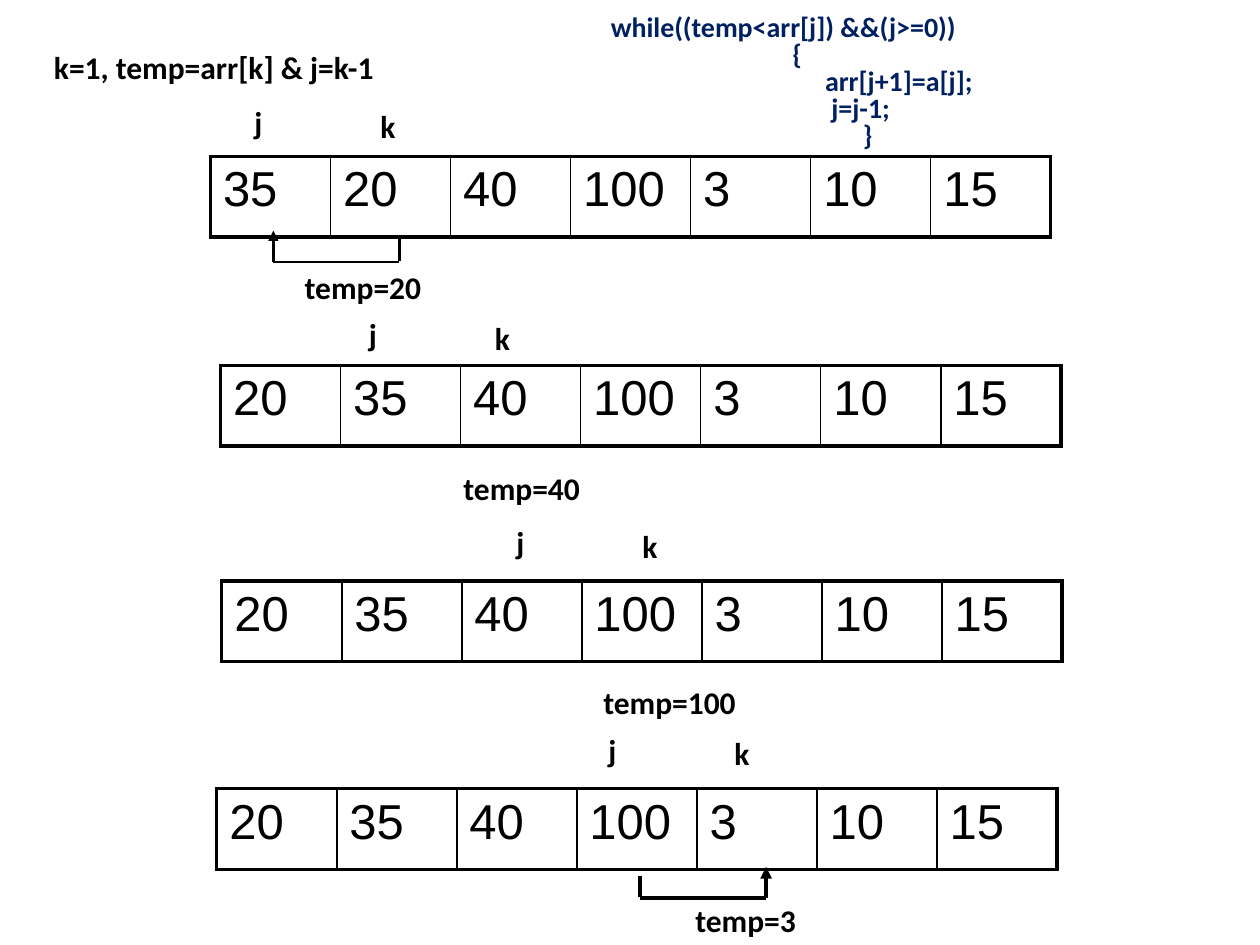
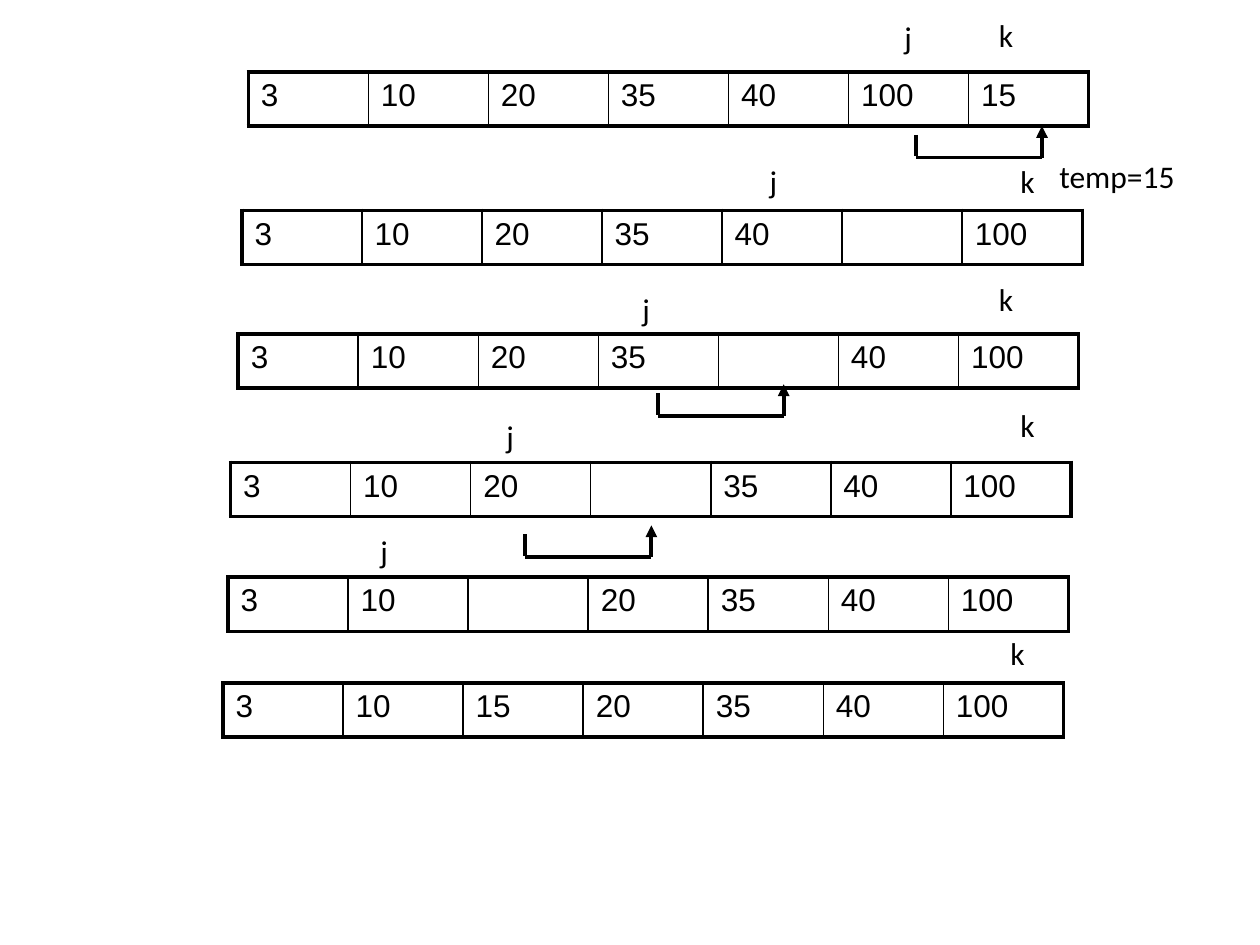
from dataclasses import dataclass

from lxml import etree
from pptx import Presentation
from pptx.dml.color import RGBColor
from pptx.enum.shapes import MSO_CONNECTOR
from pptx.oxml.ns import qn
from pptx.util import Inches, Pt

STRAIGHT = MSO_CONNECTOR.STRAIGHT
BLACK, NAVY = "000000", "002060"
CELL_FONT, LABEL_FONT = "Arial", "Calibri"
ARRAY_WIDTH, BRACKET_WIDTH = 6.67, 1.0
THIN, THICK = 1, 2.25


@dataclass
class ArrayRow:
    left: float
    top: float
    values: list[str]


@dataclass
class Label:
    text: str
    left: float
    top: float
    width: float = 0.33


@dataclass
class Bracket:
    """Move arrow: a stub at start, a base line, an arrow up at the other end."""
    start: float
    base: float
    direction: int = 1
    weight: float = THICK


@dataclass
class Trace:
    row_height: float
    cell_size: float
    bold_labels: bool
    arrays: list[ArrayRow]
    labels: list[Label]
    brackets: list[Bracket]


# ---- Helpers ----
def color(hex_code: str) -> RGBColor:
    return RGBColor.from_string(hex_code)


def style(paragraph, font: str, size: float, bold: bool = False, hex_code: str = BLACK) -> None:
    for run in paragraph.runs:
        run.font.name = font
        run.font.size = Pt(size)
        run.font.bold = bold
        run.font.color.rgb = color(hex_code)


def set_border(cell, side: str, weight: float) -> None:
    border = etree.SubElement(cell._tc.get_or_add_tcPr(), qn(f"a:ln{side}"), w=str(Pt(weight)))
    fill = etree.SubElement(border, qn("a:solidFill"))
    etree.SubElement(fill, qn("a:srgbClr"), val=BLACK)


def draw_array(slide, row: ArrayRow, height: float, size: float) -> None:
    count = len(row.values)
    table = slide.shapes.add_table(1, count, Inches(row.left), Inches(row.top),
                                   Inches(ARRAY_WIDTH), Inches(height)).table
    table.first_row = table.horz_banding = False
    for index, value in enumerate(row.values):
        table.columns[index].width = Inches(ARRAY_WIDTH / count)
        cell = table.cell(0, index)
        cell.text_frame.text = value
        style(cell.text_frame.paragraphs[0], CELL_FONT, size)
        set_border(cell, "L", THICK if index == 0 else THIN)
        set_border(cell, "R", THICK if index == count - 1 else THIN)
        set_border(cell, "T", THICK)
        set_border(cell, "B", THICK)
        cell.fill.background()


def add_text(slide, left: float, top: float, width: float, height: float, text: str):
    frame = slide.shapes.add_textbox(Inches(left), Inches(top),
                                     Inches(width), Inches(height)).text_frame
    frame.word_wrap = True
    frame.text = text
    return frame


def draw_label(slide, label: Label, bold: bool) -> None:
    frame = add_text(slide, label.left, label.top, label.width, 0.4, label.text)
    style(frame.paragraphs[0], LABEL_FONT, 18, bold)


def draw_line(slide, x1: float, y1: float, x2: float, y2: float,
              weight: float, arrow: bool = False) -> None:
    line = slide.shapes.add_connector(STRAIGHT, Inches(x1), Inches(y1), Inches(x2), Inches(y2))
    line.line.color.rgb = color(BLACK)
    line.line.width = Pt(weight)
    if arrow:
        etree.SubElement(line.line._get_or_add_ln(), qn("a:tailEnd"), type="triangle")
    etree.SubElement(line._element.spPr, qn("a:effectLst"))


def draw_bracket(slide, bracket: Bracket) -> None:
    start, base, weight = bracket.start, bracket.base, bracket.weight
    end = start + bracket.direction * BRACKET_WIDTH
    draw_line(slide, start, base - 0.18, start, base - 0.01, weight)
    draw_line(slide, start, base, end, base, weight)
    draw_line(slide, end, base, end, base - 0.25, weight, arrow=True)


def draw_loop_code(slide) -> None:
    code = [("while((temp<arr[j]) &&(j>=0))", 0), ("{", 1.44), ("arr[j+1]=a[j];", 1.7),
            ("j=j-1;", 1.75), ("}", 2)]
    frame = add_text(slide, 4.75, 0.08, 5, 1.39, "\n".join(text for text, _ in code))
    for paragraph, (_, indent) in zip(frame.paragraphs, code):
        paragraph.line_spacing = 0.8
        paragraph._p.get_or_add_pPr().set("marL", str(Inches(indent)))
        style(paragraph, LABEL_FONT, 16, True, NAVY)


def draw_trace(slide, trace: Trace) -> None:
    for row in trace.arrays:
        draw_array(slide, row, trace.row_height, trace.cell_size)
    for label in trace.labels:
        draw_label(slide, label, trace.bold_labels)
    for bracket in trace.brackets:
        draw_bracket(slide, bracket)


# ---- Content ----
AFTER_FIRST_PASS = ["20", "35", "40", "100", "3", "10", "15"]

first_passes = Trace(
    row_height=0.64, cell_size=28, bold_labels=True,
    arrays=[
        ArrayRow(1.67, 1.24, ["35", "20", "40", "100", "3", "10", "15"]),
        ArrayRow(1.75, 2.9, AFTER_FIRST_PASS),
        ArrayRow(1.76, 4.61, AFTER_FIRST_PASS),
        ArrayRow(1.72, 6.26, AFTER_FIRST_PASS),
    ],
    labels=[
        Label("k=1, temp=arr[k] & j=k-1", 0.33, 0.33, 2.94),
        Label("temp=20", 2.32, 2.08, 1.5),
        Label("temp=40", 3.58, 3.67, 1.5),
        Label("temp=100", 4.69, 5.37, 1.5),
        Label("temp=3", 5.42, 7.1, 1.5),
    ],
    brackets=[Bracket(3.17, 2.08, direction=-1, weight=1.5), Bracket(5.08, 7.13)],
)
# k stands one inch right of j in every pass
for j_left, j_top in [(1.92, 0.77), (2.83, 2.45), (4, 4.1), (4.73, 5.75)]:
    first_passes.labels += [Label("j", j_left, j_top), Label("k", j_left + 1, j_top + 0.03)]

last_pass = Trace(
    row_height=0.43, cell_size=18, bold_labels=False,
    arrays=[
        ArrayRow(1.97, 0.57, ["3", "10", "20", "35", "40", "100", "15"]),
        ArrayRow(1.92, 1.67, ["3", "10", "20", "35", "40", "", "100"]),
        ArrayRow(1.89, 2.65, ["3", "10", "20", "35", "", "40", "100"]),
        ArrayRow(1.83, 3.67, ["3", "10", "20", "", "35", "40", "100"]),
        ArrayRow(1.81, 4.58, ["3", "10", "", "20", "35", "40", "100"]),
        ArrayRow(1.77, 5.42, ["3", "10", "15", "20", "35", "40", "100"]),
    ],
    labels=[
        Label("j", 7.08, 0.09), Label("k", 7.83, 0.08),
        Label("j", 6.01, 1.24), Label("k", 8, 1.24), Label("temp=15", 8.31, 1.2, 1.5),
        Label("j", 5, 2.25), Label("k", 7.83, 2.17),
        Label("j", 3.92, 3.26), Label("k", 8, 3.17),
        Label("j", 2.92, 4.17), Label("k", 7.92, 4.98),
    ],
    brackets=[Bracket(7.27, 1.25), Bracket(5.22, 3.3), Bracket(4.17, 4.42)],
)

# ---- Build ----
deck = Presentation()
deck.slide_width, deck.slide_height = Inches(10), Inches(7.5)
blank = deck.slide_layouts[6]

opening = deck.slides.add_slide(blank)
draw_trace(opening, first_passes)
draw_loop_code(opening)

draw_trace(deck.slides.add_slide(blank), last_pass)

deck.save("out.pptx")
